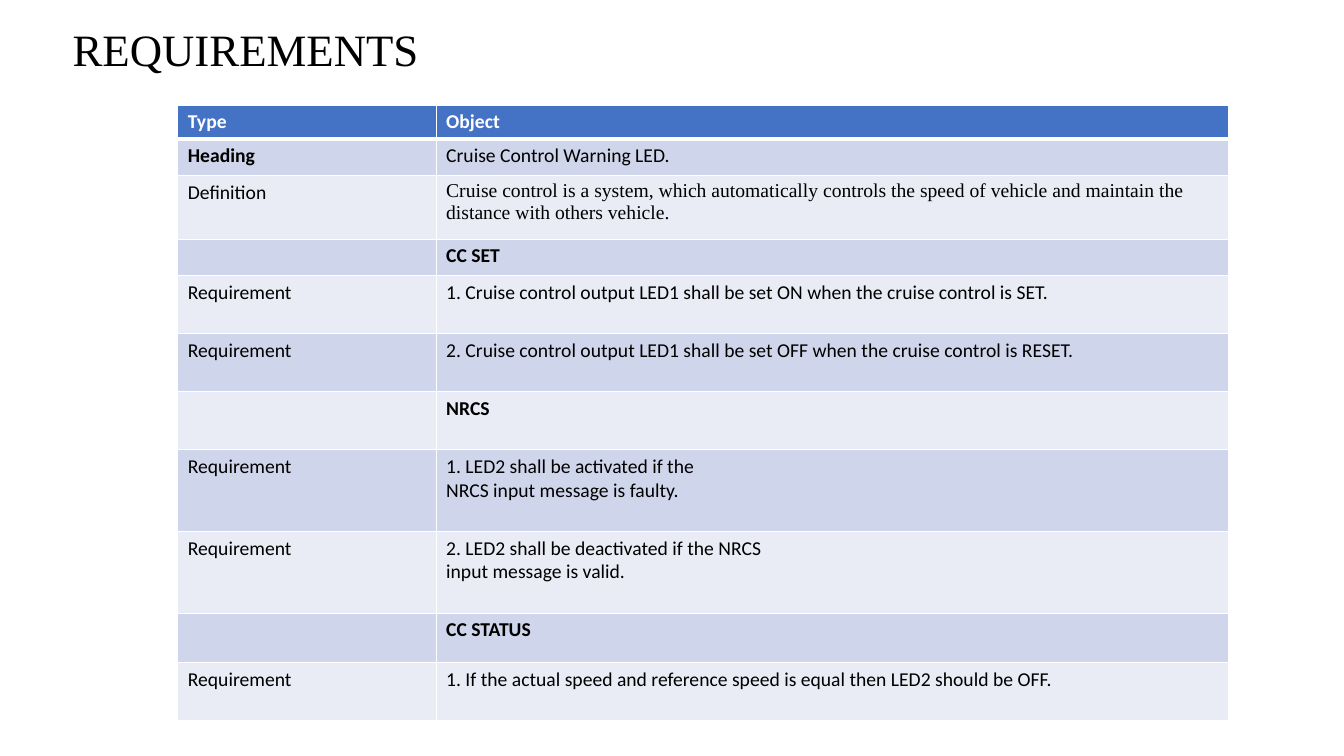
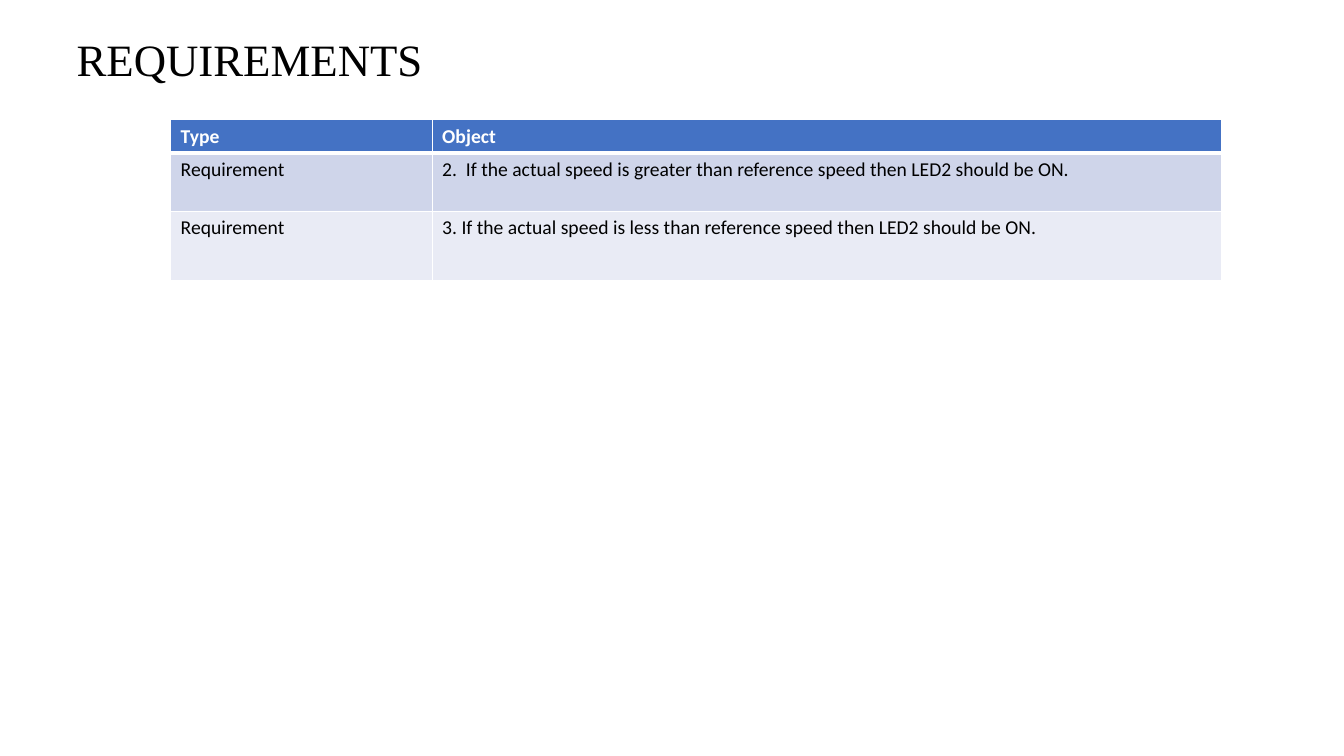
import pptx
import pptx.dml.color
import pptx.enum.text
import pptx.oxml
import pptx.oxml.ns
import pptx.util
import lxml.etree

Cm = pptx.util.Cm
Pt = pptx.util.Pt
COLOURS = {"header": "4472C4", "odd": "CFD5EA", "even": "E9EBF5", "white": "FFFFFF", "black": "000000"}
BODY_FONT = "Calibri"
SERIF_FONT = "Times New Roman"
BODY_SIZE = Pt(14)

HEADER = ("Type", "Object")
REQUIREMENT = "Requirement "
LINE, SECTION, SINGLE, DOUBLE = 0.85, 0.92, 1.46, 2.06

SIGNAL_ROWS = [
    (SECTION, "Heading", "Cruise Control Warning LED."),
    (1.61, "Definition", "Cruise control is a system, which automatically controls the speed of vehicle "
                         "and maintain the distance with others vehicle."),
    (SECTION, "", "CC SET"),
    (SINGLE, REQUIREMENT, "1. Cruise control output LED1 shall be set ON when the cruise control is SET."),
    (SINGLE, REQUIREMENT, "2. Cruise control output LED1 shall be set OFF when the cruise control is RESET."),
    (SINGLE, "", "NRCS"),
    (DOUBLE, REQUIREMENT, "1. LED2 shall be activated if the\nNRCS input message is faulty."),
    (DOUBLE, REQUIREMENT, "2. LED2 shall be deactivated if the NRCS\ninput message is valid."),
    (1.24, "", "CC STATUS"),
    (SINGLE, REQUIREMENT, "1. If the actual speed and reference speed is equal then LED2 should be OFF. "),
]
STATUS_ROWS = [
    (SINGLE, REQUIREMENT, "2.  If the actual speed is greater than reference speed then LED2 should be ON."),
    (1.74, "Requirement", "3. If the actual speed is less than reference speed then LED2 should be ON. "),
]


def style_font(font, name, size, colour, bold=False):
    """Set the face, size, colour and weight of a font."""
    font.name = name
    font.size = size
    font.bold = bold
    font.color.rgb = pptx.dml.color.RGBColor.from_string(COLOURS[colour])


def add_title(slide, box, text):
    """Place the slide title in the box (left, top, width, height in cm)."""
    shape = slide.shapes.add_textbox(*map(Cm, box))
    frame = shape.text_frame
    frame.word_wrap = True
    frame.vertical_anchor = pptx.enum.text.MSO_ANCHOR.MIDDLE
    frame.text = text
    paragraph = frame.paragraphs[0]
    paragraph.line_spacing = 0.9
    style_font(paragraph.runs[0].font, SERIF_FONT, Pt(32), "black")


def set_borders(cell, top, bottom):
    """Draw white borders round a cell, with top and bottom widths in points."""
    properties = cell._tc.get_or_add_tcPr()
    for side, width in (("L", 1), ("R", 1), ("T", top), ("B", bottom)):
        line = lxml.etree.SubElement(properties, pptx.oxml.ns.qn("a:ln" + side), w=str(Pt(width)))
        fill = lxml.etree.SubElement(line, pptx.oxml.ns.qn("a:solidFill"))
        lxml.etree.SubElement(fill, pptx.oxml.ns.qn("a:srgbClr"), val=COLOURS["white"])


def fill_cell(cell, text, background, font_name, colour, bold):
    """Write text into a cell and colour it."""
    cell.fill.solid()
    cell.fill.fore_color.rgb = pptx.dml.color.RGBColor.from_string(COLOURS[background])
    cell.text_frame.text = text
    for paragraph in cell.text_frame.paragraphs:
        for run in paragraph.runs:
            style_font(run.font, font_name, BODY_SIZE, colour, bold)
        if not paragraph.runs:
            lxml.etree.SubElement(paragraph._p, pptx.oxml.ns.qn("a:endParaRPr"),
                                  sz=str(int(BODY_SIZE.pt * 100)))


def add_requirements_table(slide, box, type_width, rows):
    """Place a header and banded rows at the box (left, top, width in cm)."""
    left, top, width = box
    all_rows = [(LINE, *HEADER), *rows]
    height = sum(row[0] for row in all_rows)
    table = slide.shapes.add_table(len(all_rows), 2, Cm(left), Cm(top), Cm(width), Cm(height)).table
    table.columns[0].width = Cm(type_width)
    table.columns[1].width = Cm(width - type_width)
    for index, (row_height, kind, content) in enumerate(all_rows):
        table.rows[index].height = Cm(row_height)
        is_header = index == 0
        background = "header" if is_header else ("even", "odd")[index % 2]
        colour = "white" if is_header else "black"
        content_font = SERIF_FONT if kind == "Definition" else BODY_FONT
        kind_cell, content_cell = table.cell(index, 0), table.cell(index, 1)
        for cell in (kind_cell, content_cell):
            set_borders(cell, 3 if index == 1 else 1, 3 if is_header else 1)
        fill_cell(kind_cell, kind, background, BODY_FONT, colour, is_header or kind == "Heading")
        fill_cell(content_cell, content, background, content_font, colour, is_header or not kind)


def add_requirements_slide(presentation, title_box, table_box, type_width, rows):
    """Add one slide with the title and a requirements table."""
    slide = presentation.slides.add_slide(presentation.slide_layouts[6])
    add_title(slide, title_box, "REQUIREMENTS")
    add_requirements_table(slide, table_box, type_width, rows)


def main():
    """Build and save the presentation."""
    presentation = pptx.Presentation()
    presentation.slide_width = Cm(33.87)
    presentation.slide_height = Cm(19.05)
    add_requirements_slide(presentation, (1.58, 0.45, 12.85, 1.7), (4.48, 2.65, 26.48), 6.51, SIGNAL_ROWS)
    add_requirements_slide(presentation, (1.68, 0.6, 12.02, 1.91), (4.3, 3.01, 26.48), 6.59, STATUS_ROWS)
    presentation.save("out.pptx")


main()
